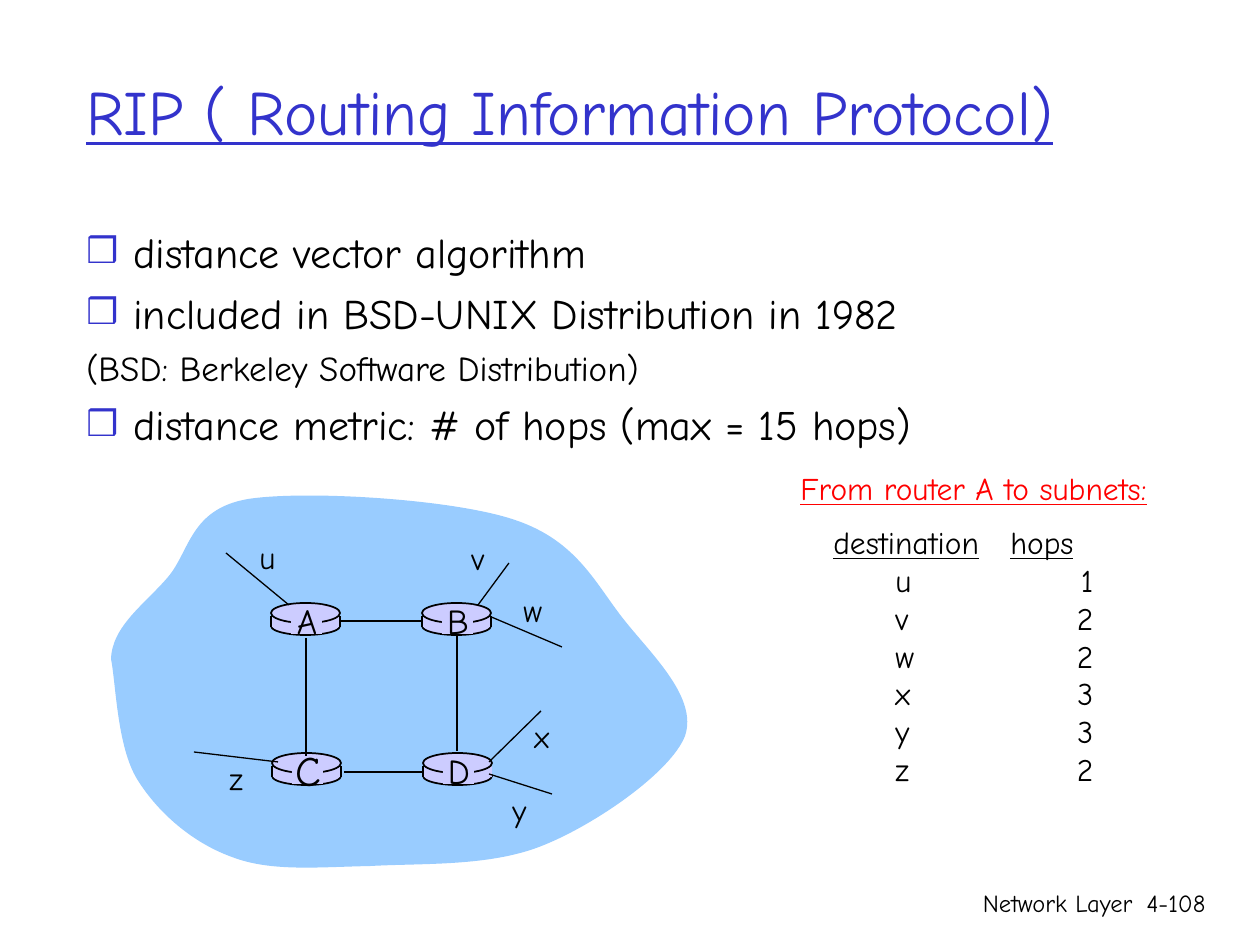
"""Build the RIP slide: bullets, a four-router network and a list of hops."""
from lxml import etree
from pptx import Presentation
from pptx.dml.color import RGBColor
from pptx.enum.shapes import MSO_CONNECTOR, MSO_SHAPE
from pptx.enum.text import MSO_ANCHOR, PP_ALIGN
from pptx.oxml.ns import qn
from pptx.util import Pt

SCALE = 914400 / 126
FONT = "Comic Neue"
COLORS = {"blue": "3333CC", "black": "000000", "red": "FF0000",
          "cloud": "99CCFF", "router": "CCCCFF"}
LEFT, CENTER, RIGHT = PP_ALIGN.LEFT, PP_ALIGN.CENTER, PP_ALIGN.RIGHT
TOP, MIDDLE = MSO_ANCHOR.TOP, MSO_ANCHOR.MIDDLE
STRAIGHT = MSO_CONNECTOR.STRAIGHT
OVAL, RECTANGLE = MSO_SHAPE.OVAL, MSO_SHAPE.RECTANGLE


def px(*lengths):
    return [round(length * SCALE) for length in lengths]


def style(paragraph, size, color="black", align=LEFT):
    paragraph.alignment = align
    font = paragraph.font
    font.name, font.size = FONT, Pt(size)
    font.color.rgb = RGBColor.from_string(COLORS[color])


presentation = Presentation()
presentation.slide_width, presentation.slide_height = px(1260, 945)
slide = presentation.slides.add_slide(presentation.slide_layouts[6])
shapes = slide.shapes

body = shapes.add_textbox(*px(74, 220, 1134, 233)).text_frame
body.word_wrap = True
bullets = [
    ("distance vector algorithm", 24, 0, True),
    ("included in BSD-UNIX Distribution in 1982", 24, 6, True),
    ("(BSD: Berkeley Software Distribution)", 20, 5, False),
    ("distance metric: # of hops (max = 15 hops)", 24, 6, True),
]
for index, (words, size, space, bulleted) in enumerate(bullets):
    paragraph = body.add_paragraph() if index else body.paragraphs[0]
    paragraph.text = words
    if bulleted:
        properties = paragraph._p.get_or_add_pPr()
        indent = px(47)[0]
        properties.set("marL", str(indent))
        properties.set("indent", str(-indent))
        bullet_color = etree.SubElement(properties, qn("a:buClr"))
        etree.SubElement(bullet_color, qn("a:srgbClr"), val=COLORS["blue"])
        etree.SubElement(properties, qn("a:buSzPct"), val="85000")
        etree.SubElement(properties, qn("a:buFont"), typeface="Arial")
        etree.SubElement(properties, qn("a:buChar"), char="❒")
    style(paragraph, size)
    paragraph.space_before = Pt(space)

cloud_start = (111, 659)
cloud_curves = [
    ((112, 626), (145, 604), (168, 577)), ((190, 551), (190, 509), (248, 499)),
    ((306, 490), (454, 499), (515, 520)), ((578, 541), (596, 585), (625, 621)),
    ((653, 656), (698, 698), (685, 736)), ((671, 772), (596, 824), (544, 845)),
    ((491, 867), (422, 863), (370, 866)), ((318, 867), (271, 872), (232, 857)),
    ((193, 843), (158, 813), (137, 779)), ((117, 746), (116, 684), (111, 659)),
]
cloud_left, cloud_top, cloud_width, cloud_height = cloud_box = (111, 490, 588, 382)
builder = shapes.build_freeform(cloud_left, cloud_top, scale=SCALE)
builder.add_line_segments([(cloud_left + cloud_width, cloud_top + cloud_height)], close=True)
cloud = builder.convert_to_shape()
cloud.left, cloud.top, cloud.width, cloud.height = px(*cloud_box)
outline = cloud._element.spPr.find(".//" + qn("a:path"))
outline.clear()
outline.set("w", str(cloud_width))
outline.set("h", str(cloud_height))
for command, points in [("a:moveTo", [cloud_start])] + [("a:cubicBezTo", c) for c in cloud_curves]:
    segment = etree.SubElement(outline, qn(command))
    for x, y in points:
        etree.SubElement(segment, qn("a:pt"), x=str(x - cloud_left), y=str(y - cloud_top))
etree.SubElement(outline, qn("a:close"))
cloud.shadow.inherit = False
cloud.fill.solid()
cloud.fill.fore_color.rgb = RGBColor.from_string(COLORS["cloud"])
cloud.line.fill.background()

routers = [("A", 271, 603, 20), ("B", 422, 603, 20), ("C", 272, 753, 24), ("D", 423, 753, 20)]
router_parts = []
lines = []
for name, left, top, size in routers:
    router_parts += [(OVAL, left, top + 14, 69, 18), (RECTANGLE, left, top + 13, 69, 11),
                     (OVAL, left, top, 69, 20)]
    lines += [(x, top + 13, x, top + 24, 1) for x in (left, left + 69)]
lines.pop()
router_parts += [(RECTANGLE, left + 20, top + 2, 31, 29) for name, left, top, size in routers]
lines += [(457, 636, 457, 751, 0.75), (306, 638, 306, 756, 1),
          (344, 772, 423, 772, 0.75), (341, 621, 422, 621, 0.75),
          (489, 616, 562, 647, 0.75), (478, 605, 509, 563, 0.75),
          (489, 762, 541, 711, 0.75), (489, 774, 552, 794, 0.75),
          (289, 605, 226, 553, 0.75), (278, 762, 194, 752, 0.75)]

for kind, *box in router_parts:
    shape = shapes.add_shape(kind, *px(*box))
    shape.shadow.inherit = False
    shape.fill.solid()
    shape.fill.fore_color.rgb = RGBColor.from_string(COLORS["router"])
    if kind == OVAL:
        shape.line.color.rgb = RGBColor.from_string(COLORS["black"])
        shape.line.width = Pt(1)
    else:
        shape.line.fill.background()

for *ends, width in lines:
    connector = shapes.add_connector(STRAIGHT, *px(*ends))
    connector.line.color.rgb = RGBColor.from_string(COLORS["black"])
    connector.line.width = Pt(width)
    etree.SubElement(connector._element.spPr, qn("a:effectLst"))

labels = [
    ("RIP ( Routing Information Protocol)", 74, 31, 1126, 158, 36, "blue", LEFT, MIDDLE),
    ("From router A to subnets:", 788, 463, 374, 50, 18, "red", LEFT, TOP),
    ("Network Layer", 746, 882, 399, 63, 14, "black", RIGHT, TOP),
    ("4-108", 1125, 882, 93, 63, 14, "black", RIGHT, TOP),
]
labels += [(name, left + 11, top - 11, 50, 56, size, "black", CENTER, MIDDLE)
           for name, left, top, size in routers]
subnets = [("u", 247, 532), ("v", 459, 533), ("w", 511, 585),
           ("x", 522, 711), ("y", 500, 785), ("z", 217, 753)]
labels += [(name, left, top, 46, 50, 18, "black", LEFT, TOP) for name, left, top in subnets]
for words, left, top, width, height, size, color, align, anchor in labels:
    frame = shapes.add_textbox(*px(left, top, width, height)).text_frame
    frame.word_wrap = True
    frame.vertical_anchor = anchor
    paragraph = frame.paragraphs[0]
    paragraph.text = words
    style(paragraph, size, color, align)
    if color != "black":
        paragraph.font.underline = True

hops = [("u", "1"), ("v", "2"), ("w", "2"), ("x", "3"), ("y", "3"), ("z", "2")]
rows = [("destination", "\t", "hops")] + [("\t", subnet, "\t", count) for subnet, count in hops]
header_tabs, hop_tabs = [(177, "l")], [(62, "l"), (260, "r")]
frame = shapes.add_textbox(*px(821, 517, 288, 315)).text_frame
frame.word_wrap = True
for index, pieces in enumerate(rows):
    paragraph = frame.add_paragraph() if index else frame.paragraphs[0]
    tabs = etree.SubElement(paragraph._p.get_or_add_pPr(), qn("a:tabLst"))
    for position, side in hop_tabs if index else header_tabs:
        etree.SubElement(tabs, qn("a:tab"), pos=str(px(position)[0]), algn=side)
    for piece in pieces:
        run = paragraph.add_run()
        run.text = piece
        if index == 0 and piece != "\t":
            run.font.underline = True
    style(paragraph, 18)

presentation.save("out.pptx")
